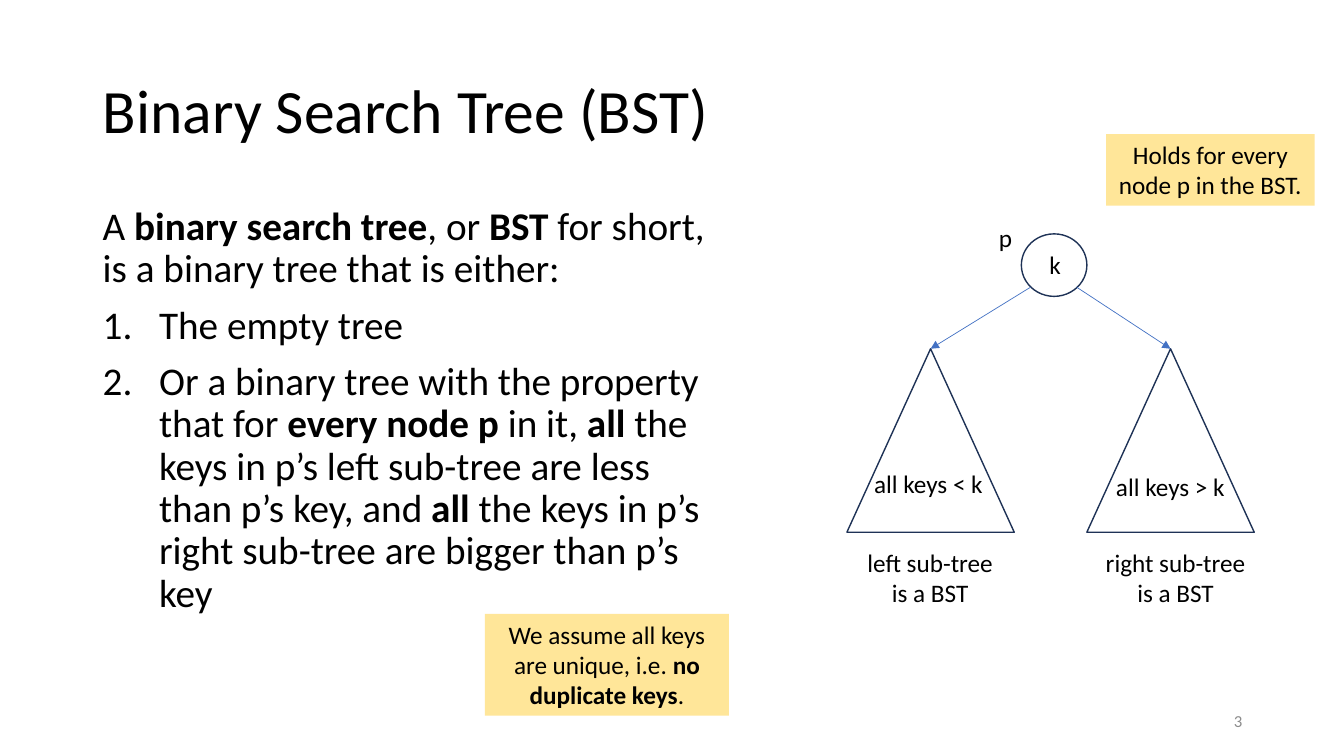
from pptx import Presentation
from pptx.dml.color import RGBColor
from pptx.enum.shapes import MSO_CONNECTOR, MSO_SHAPE
from pptx.enum.text import MSO_ANCHOR, MSO_AUTO_SIZE, PP_ALIGN
from pptx.oxml.ns import qn
from pptx.util import Inches, Pt
from lxml import etree

BLACK = RGBColor(0x00, 0x00, 0x00)
GREY = RGBColor(0x8C, 0x8C, 0x8C)
NAVY = RGBColor(0x1E, 0x32, 0x56)
BLUE = RGBColor(0x44, 0x72, 0xC4)
YELLOW = RGBColor(0xFF, 0xE6, 0x99)

LEFT, CENTER, RIGHT = PP_ALIGN.LEFT, PP_ALIGN.CENTER, PP_ALIGN.RIGHT
TOP, MIDDLE = MSO_ANCHOR.TOP, MSO_ANCHOR.MIDDLE
FIXED = MSO_AUTO_SIZE.NONE
STRAIGHT = MSO_CONNECTOR.STRAIGHT
OVAL, BOX = MSO_SHAPE.OVAL, MSO_SHAPE.RECTANGLE
TRIANGLE = MSO_SHAPE.ISOSCELES_TRIANGLE

FONT = {"name": "Calibri", "size": Pt(18)}
INTRO = "A *binary search tree*, or *BST* for short, is a binary tree that is either:"
CASES = (
    "The empty tree",
    "Or a binary tree with the property that for *every node p* in it, *all* the "
    "keys in p’s left sub-tree are less than p’s key, and *all* the keys in p’s "
    "right sub-tree are bigger than p’s key",
)
# Left edge of triangle, key label spot and text, name label spot and text
TREES = (
    (8.4, (8.57, 4.6, 1.32, 0.4), "all keys < k",
     (8.47, 5.38, 1.51, 0.71), "left sub-tree\nis a BST", 10.22),
    (10.78, (10.97, 4.63, 1.32, 0.4), "all keys > k",
     (10.86, 5.38, 1.6, 0.71), "right sub-tree\nis a BST", 10.68),
)
TREE_TOP, TREE_WIDTH, TREE_HEIGHT = 3.46, 1.66, 1.82


def set_all(item, **values):
    for name, value in values.items():
        setattr(item, name, value)


def write(para, text, color=BLACK, align=LEFT, **font):
    """Fill a paragraph; words between asterisks are bold."""
    para.alignment = align
    for index, part in enumerate(text.split("*")):
        for row, line in enumerate(part.split("\n")):
            if row:
                para.add_line_break()
            if line:
                run = para.add_run()
                run.text = line
                set_all(run.font, **{**FONT, **font}, bold=index % 2 == 1)
                run.font.color.rgb = color


def add_text(slide, spot, text, wrap=False, anchor=TOP, **style):
    frame = slide.shapes.add_textbox(*map(Inches, spot)).text_frame
    set_all(frame, word_wrap=wrap, vertical_anchor=anchor)
    write(frame.paragraphs[0], text, **style)
    return frame


def add_shape(slide, kind, spot, fill=None):
    shape = slide.shapes.add_shape(kind, *map(Inches, spot))
    shape.shadow.inherit = False
    if fill:
        shape.fill.solid()
        shape.fill.fore_color.rgb = fill
        shape.line.fill.background()
    else:
        shape.fill.background()
        shape.line.color.rgb = NAVY
        shape.line.width = Pt(1)
    return shape


def add_note(slide, spot, text):
    frame = add_shape(slide, BOX, spot, YELLOW).text_frame
    set_all(frame, word_wrap=True, vertical_anchor=TOP)
    write(frame.paragraphs[0], text, align=CENTER)


def add_arrow(slide, start, end):
    arrow = slide.shapes.add_connector(STRAIGHT, *map(Inches, start + end))
    arrow.line.color.rgb = BLUE
    arrow.line.width = Pt(0.5)
    head = etree.SubElement(arrow.line._get_or_add_ln(), qn("a:tailEnd"))
    head.set("type", "triangle")
    etree.SubElement(arrow._element.spPr, qn("a:effectLst"))


def add_title(slide, spot, text):
    title = slide.shapes.title
    for name, value in zip(("left", "top", "width", "height"), spot):
        setattr(title, name, Inches(value))
    frame = title.text_frame
    set_all(frame, word_wrap=True, vertical_anchor=MIDDLE, auto_size=FIXED)
    para = frame.paragraphs[0]
    para.line_spacing = 0.9
    write(para, text, size=Pt(44))


def add_body(slide, spot):
    size = Pt(28)
    frame = add_text(slide, spot, INTRO, wrap=True, size=size)
    frame.paragraphs[0].line_spacing = 0.9
    for case in CASES:
        para = frame.add_paragraph()
        props = para._p.get_or_add_pPr()
        props.set("marL", str(Inches(0.56)))
        props.set("indent", str(-Inches(0.56)))
        bullet = etree.SubElement(props, qn("a:buAutoNum"))
        bullet.set("type", "arabicPeriod")
        set_all(para, line_spacing=0.9, space_before=Pt(10))
        write(para, case, size=size)


def add_tree(slide, left, key_spot, key, name_spot, name, start):
    add_shape(slide, TRIANGLE, (left, TREE_TOP, TREE_WIDTH, TREE_HEIGHT))
    add_arrow(slide, (start, 2.85), (left + TREE_WIDTH / 2, TREE_TOP))
    add_text(slide, key_spot, key)
    add_text(slide, name_spot, name, align=CENTER)


def main():
    deck = Presentation()
    deck.slide_width, deck.slide_height = Inches(13.33), Inches(7.5)
    slide = deck.slides.add_slide(deck.slide_layouts[5])

    # Title, definition and page number
    add_title(slide, (0.92, 0.4, 6.52, 1.45), "Binary Search Tree (BST)")
    add_body(slide, (0.92, 2, 6.25, 4.76))
    add_text(slide, (9.42, 6.95, 3, 0.4), "3", wrap=True, anchor=MIDDLE,
             color=GREY, align=RIGHT, size=Pt(12))

    # Root node with its two sub-trees
    add_shape(slide, OVAL, (10.13, 2.32, 0.65, 0.62))
    add_text(slide, (9.96, 2.42, 1.01, 0.4), "k", wrap=True, align=CENTER)
    add_text(slide, (9.81, 2.16, 0.34, 0.4), "p")
    for tree in TREES:
        add_tree(slide, *tree)

    # Yellow notes
    add_note(slide, (4.81, 6.09, 2.42, 1.01),
             "We assume all keys are unique, i.e. *no duplicate keys*.")
    add_note(slide, (10.97, 1.33, 2.07, 0.71),
             "Holds for every node p in the BST.")

    deck.save("out.pptx")


if __name__ == "__main__":
    main()
